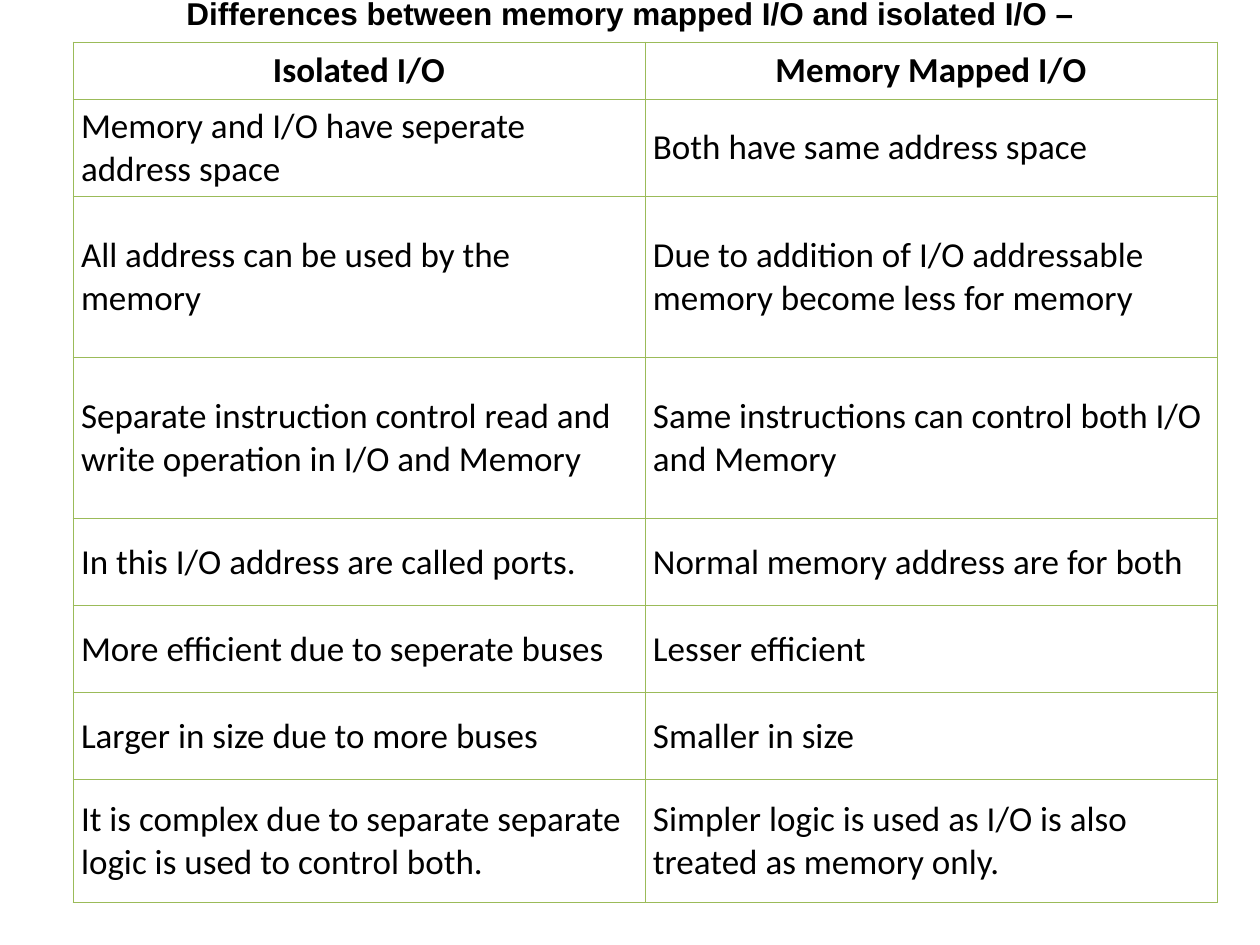
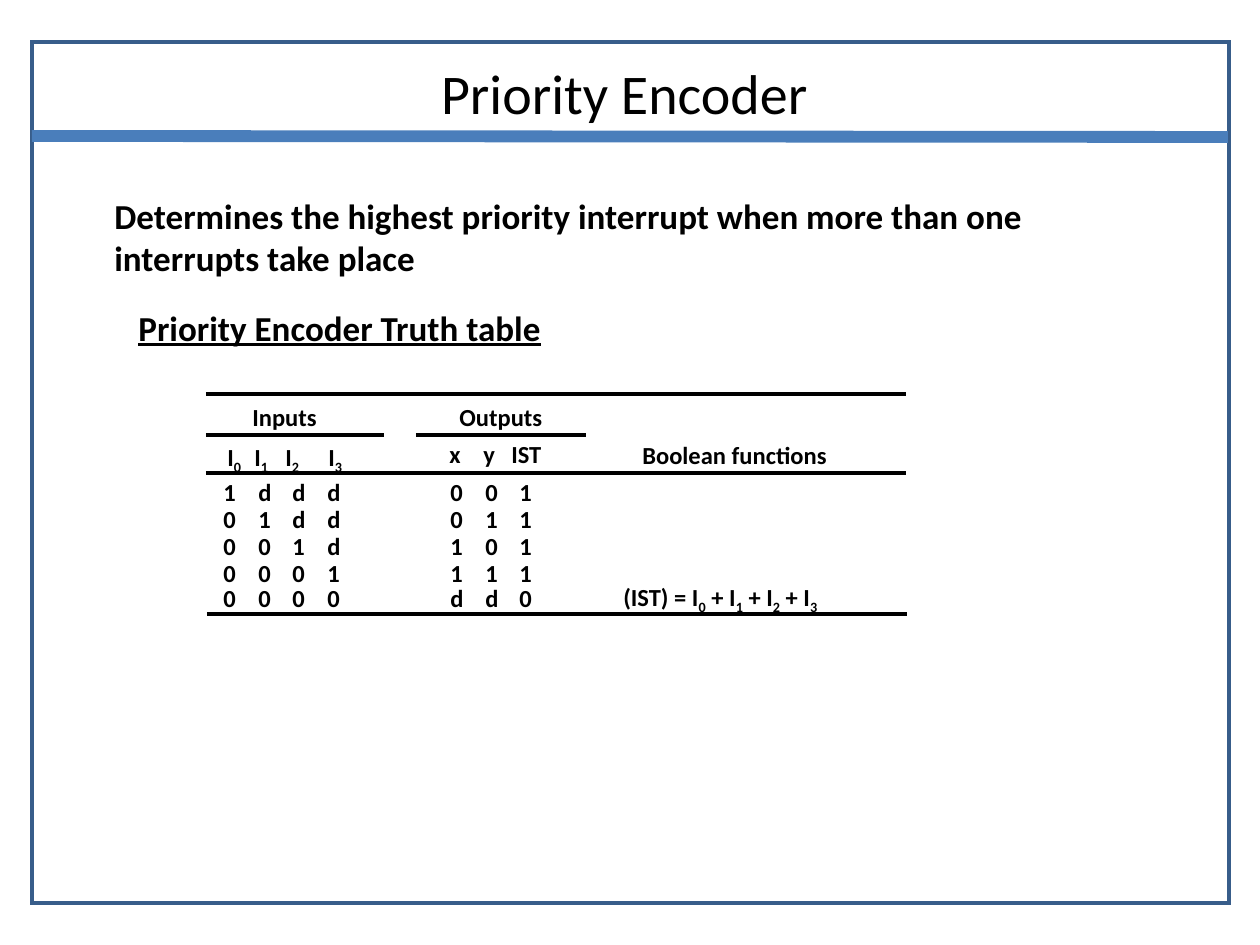
from dataclasses import dataclass

from lxml import etree
from pptx import Presentation
from pptx import util as u
from pptx.dml.color import RGBColor
from pptx.enum import shapes, text
from pptx.oxml import ns
from pptx.slide import Slide

# Shared scale, colours and fonts
EMU_PER_PX = 914400 / 126
BLACK = RGBColor(0x00, 0x00, 0x00)
FRAME_BLUE = RGBColor(0x38, 0x5D, 0x8A)
BAND_BLUE = RGBColor(0x4A, 0x7E, 0xBB)
BORDER_GREEN = RGBColor(0x9B, 0xBB, 0x59)
BODY_FONT = "Calibri"
TITLE_FONT = "Arial"


@dataclass
class Label:
    """Text in a box; "_" sets the next character as a subscript."""
    left: int
    top: int
    width: int
    height: int
    words: str
    size: int = 14
    font: str = BODY_FONT
    bold: bool = True
    underline: bool = False
    wrap: bool = False
    centred: bool = False
    tabs: tuple[int, ...] = ()


@dataclass
class Rule:
    x1: int
    y1: int
    x2: int
    y2: int
    color: RGBColor = BLACK
    weight: float = 2


@dataclass
class TruthRow:
    top: int
    height: int
    inputs: str
    outputs: str


def px(length: float) -> u.Emu:
    return u.Emu(round(length * EMU_PER_PX))


def add_run(paragraph, words: str, size: int, font: str, bold: bool,
            underline: bool = False, subscript: bool = False) -> None:
    run = paragraph.add_run()
    run.text = words
    run.font.size = u.Pt(size)
    run.font.name = font
    run.font.bold = bold
    run.font.color.rgb = BLACK
    if underline:
        run.font.underline = True
    if subscript:
        run._r.get_or_add_rPr().set("baseline", "-25000")


def add_tabs(paragraph, stops: tuple[int, ...]) -> None:
    tab_list = etree.SubElement(paragraph._p.get_or_add_pPr(), ns.qn("a:tabLst"))
    for stop in stops:
        etree.SubElement(tab_list, ns.qn("a:tab"), pos=str(px(stop)), algn="l")


def draw_label(slide: Slide, label: Label) -> None:
    box = slide.shapes.add_textbox(px(label.left), px(label.top),
                                   px(label.width), px(label.height))
    frame = box.text_frame
    frame.word_wrap = label.wrap
    frame.auto_size = text.MSO_AUTO_SIZE.SHAPE_TO_FIT_TEXT
    paragraph = frame.paragraphs[0]
    if label.centred:
        paragraph.alignment = text.PP_ALIGN.CENTER
    if label.tabs:
        add_tabs(paragraph, label.tabs)
    style = (label.size, label.font, label.bold, label.underline)
    plain, *marked = label.words.split("_")
    add_run(paragraph, plain, *style)
    for part in marked:
        add_run(paragraph, part[0], *style, subscript=True)
        if part[1:]:
            add_run(paragraph, part[1:], *style)


def draw_rule(slide: Slide, rule: Rule) -> None:
    line = slide.shapes.add_connector(shapes.MSO_CONNECTOR.STRAIGHT, px(rule.x1),
                                      px(rule.y1), px(rule.x2), px(rule.y2))
    line.line.color.rgb = rule.color
    line.line.width = u.Pt(rule.weight)
    etree.SubElement(line._element.spPr, ns.qn("a:effectLst"))


def add_borders(cell) -> None:
    """Borders must come before the fill in the cell properties."""
    properties = cell._tc.get_or_add_tcPr()
    for position, side in enumerate(("lnL", "lnR", "lnT", "lnB")):
        border = etree.Element(ns.qn(f"a:{side}"), w=str(u.Pt(0.45)))
        fill = etree.SubElement(border, ns.qn("a:solidFill"))
        etree.SubElement(fill, ns.qn("a:srgbClr"), val=str(BORDER_GREEN))
        properties.insert(position, border)


# Slide 1: comparison table
COMPARISON = [
    ("Isolated I/O", "Memory Mapped I/O"),
    ("Memory and I/O have seperate address space", "Both have same address space"),
    ("All address can be used by the memory",
     "Due to addition of I/O addressable memory become less for memory"),
    ("Separate instruction control read and write operation in I/O and Memory",
     "Same instructions can control both I/O and Memory"),
    ("In this I/O address are called ports.", "Normal memory address are for both"),
    ("More efficient due to seperate buses", "Lesser efficient"),
    ("Larger in size due to more buses", "Smaller in size"),
    ("It is complex due to separate separate logic is used to control both.",
     "Simpler logic is used as I/O is also treated as memory only."),
]
ROW_HEIGHTS = (57, 92, 161, 161, 87, 87, 87, 123)
COLUMN_WIDTH = 572


def build_comparison(slide: Slide) -> None:
    table = slide.shapes.add_table(
        len(COMPARISON), 2, px(73), px(42),
        px(2 * COLUMN_WIDTH), px(sum(ROW_HEIGHTS))).table
    table.first_row = table.horz_banding = False
    for column in table.columns:
        column.width = px(COLUMN_WIDTH)
    for r, (height, entries) in enumerate(zip(ROW_HEIGHTS, COMPARISON)):
        table.rows[r].height = px(height)
        header = r == 0
        for c, entry in enumerate(entries):
            cell = table.cell(r, c)
            cell.fill.background()
            cell.vertical_anchor = text.MSO_ANCHOR.MIDDLE
            cell.margin_left = cell.margin_right = px(6 if header else 8)
            cell.margin_top = cell.margin_bottom = px(6)
            paragraph = cell.text_frame.paragraphs[0]
            if header:
                paragraph.alignment = text.PP_ALIGN.CENTER
            add_run(paragraph, entry, 20, BODY_FONT, header)
            add_borders(cell)
    draw_label(slide, Label(
        174, -12, 920, 48, "Differences between memory mapped I/O and isolated I/O –",
        size=18, font=TITLE_FONT))


# Slide 2: priority encoder
TRUTH_ROWS = [
    TruthRow(471, 71, "1ddd", "001"),
    TruthRow(498, 71, "01dd", "011"),
    TruthRow(525, 71, "001d", "101"),
    TruthRow(552, 42, "0001", "111"),
    TruthRow(577, 42, "0000", "dd0"),
]
BIT_TABS = (35, 69, 104)
INPUT_LEFTS = (215, 242, 273, 316)
ENCODER_LABELS = [
    Label(94, 52, 1061, 81, "Priority Encoder", 32, bold=False, wrap=True, centred=True),
    Label(102, 188, 1026, 96, "Determines the highest priority interrupt when more "
          "than one interrupts take place", 20, wrap=True),
    Label(126, 300, 436, 54, "Priority Encoder Truth table", 20, underline=True),
    Label(240, 396, 96, 42, "Inputs"),
    Label(447, 396, 114, 42, "Outputs"),
    Label(437, 433, 123, 42, "x\ty\tIST", tabs=(34, 62)),
    Label(630, 434, 216, 42, "Boolean functions"),
    Label(611, 576, 238, 45, "(IST) = I_0 + I_1 + I_2 + I_3"),
]
TRUTH_RULES = [
    Rule(206, 394, 906, 394),
    Rule(206, 435, 384, 435),
    Rule(416, 435, 586, 435),
    Rule(206, 473, 906, 473),
    Rule(207, 614, 907, 614),
]


def build_encoder(slide: Slide) -> None:
    # Frame and title band
    frame = slide.shapes.add_shape(shapes.MSO_SHAPE.RECTANGLE,
                                   px(32), px(42), px(1197), px(861))
    frame.shadow.inherit = False
    frame.fill.background()
    frame.line.color.rgb = FRAME_BLUE
    frame.line.width = u.Pt(2)
    etree.SubElement(frame.line._get_or_add_ln(), ns.qn("a:miter"), lim="800000")
    draw_rule(slide, Rule(32, 136, 1228, 137, BAND_BLUE, 6.75))

    # Headings and truth table
    for label in ENCODER_LABELS:
        draw_label(slide, label)
    for index, left in enumerate(INPUT_LEFTS):
        draw_label(slide, Label(left, 436, 42, 45, f"I_{index}"))
    for row in TRUTH_ROWS:
        for left, width, bits in ((211, 148, row.inputs), (438, 113, row.outputs)):
            draw_label(slide, Label(left, row.top, width, row.height, "\t".join(bits),
                                    tabs=BIT_TABS[:len(bits) - 1]))
    for rule in TRUTH_RULES:
        draw_rule(slide, rule)


def main() -> None:
    deck = Presentation()
    deck.slide_width, deck.slide_height = px(1260), px(945)
    blank = deck.slide_layouts[6]
    for build in (build_comparison, build_encoder):
        build(deck.slides.add_slide(blank))
    deck.save("out.pptx")


if __name__ == "__main__":
    main()
